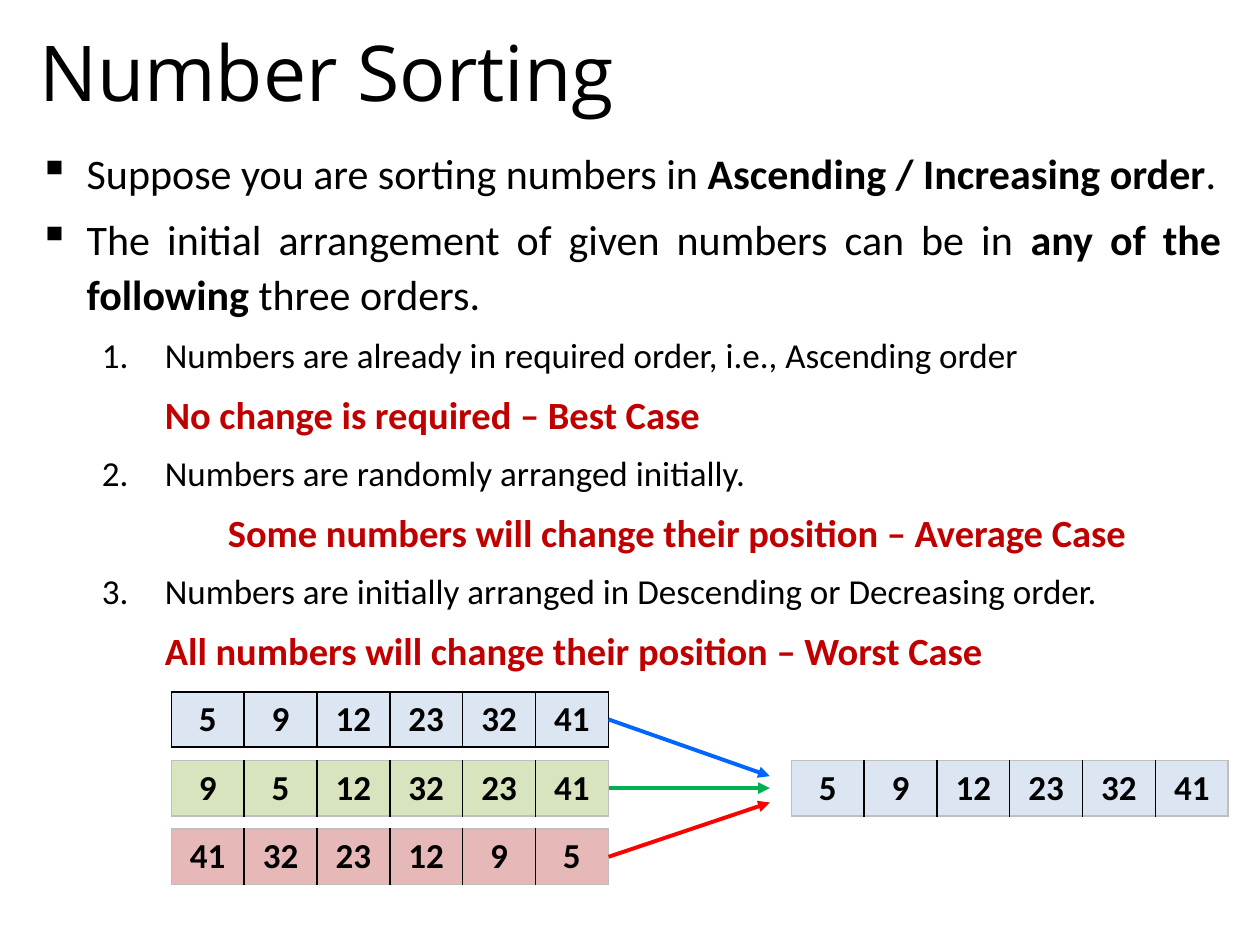
from lxml import etree
from pptx import Presentation, util as u
from pptx.dml.color import RGBColor
from pptx.enum import shapes, text
from pptx.oxml.ns import qn

COLORS = {"ink": "000000", "accent": "C00000", "edge": "BFBFBF",
          "sorted": "DCE6F2", "random": "D7E4BD", "reverse": "E6B9B8",
          "best": "0066FF", "average": "00B050", "worst": "FF0000"}


def rgb(name):
    return RGBColor.from_string(COLORS[name])


def add_xml(parent, tag, **attrs):
    return etree.SubElement(parent, qn(tag), {k: str(v) for k, v in attrs.items()})


def apply(target, values):
    for name, value in values.items():
        setattr(target, name, value)


class SlideBuilder:
    """Places elements on a grid of 100 columns by 75 rows."""
    COLUMNS, ROWS = 100, 75
    HEADING, BODY = "Open Sans", "Calibri"

    def __init__(self, prs):
        self.col = prs.slide_width / self.COLUMNS
        self.row = prs.slide_height / self.ROWS
        self.s = prs.slides.add_slide(prs.slide_layouts[5])

    def box(self, x, y, w, h):
        return (round(x * self.col), round(y * self.row),
                round(w * self.col), round(h * self.row))

    def run(self, p, words, size, color="ink", bold=False, font=BODY):
        r = p.add_run()
        r.text = words
        apply(r.font, {"size": u.Pt(size), "bold": bold, "name": font})
        r.font.color.rgb = rgb(color)

    def title(self, words, *area):
        sp = self.s.shapes.title
        apply(sp, dict(zip(("left", "top", "width", "height"), self.box(*area))))
        tf = sp.text_frame
        apply(tf, {"vertical_anchor": text.MSO_ANCHOR.MIDDLE, "word_wrap": True,
                   "auto_size": text.MSO_AUTO_SIZE.NONE})
        p = tf.paragraphs[0]
        p.alignment = text.PP_ALIGN.LEFT
        self.run(p, words, 44, font=self.HEADING)

    def outline(self, items, *area):
        tf = self.s.shapes.add_textbox(*self.box(*area)).text_frame
        tf.word_wrap = True
        for i, (kind, margin, hanging, runs) in enumerate(items):
            p = tf.paragraphs[0] if i == 0 else tf.add_paragraph()
            pPr = p._p.get_or_add_pPr()
            pPr.set("marL", str(u.Inches(margin)))
            pPr.set("indent", str(-u.Inches(hanging)))
            if kind == "bullet":
                add_xml(pPr, "a:buChar", char="▪")
            elif kind:
                add_xml(pPr, "a:buAutoNum", type="arabicPeriod", startAt=kind)
            else:
                add_xml(pPr, "a:buNone")
            apply(p, {"alignment": text.PP_ALIGN.JUSTIFY, "line_spacing": 1.1,
                      "space_before": u.Pt(0), "space_after": u.Pt(6)})
            for r in runs:
                self.run(p, *r)

    def number_row(self, values, fill, edge, *area):
        frame = self.s.shapes.add_table(1, len(values), *self.box(*area))
        table = frame.table
        apply(table, {"first_row": False, "horz_banding": False})
        last = len(values) - 1
        for i, value in enumerate(values):
            cell = table.cell(0, i)
            cell.vertical_anchor = text.MSO_ANCHOR.MIDDLE
            p = cell.text_frame.paragraphs[0]
            p.alignment = text.PP_ALIGN.CENTER
            self.run(p, str(value), 20, bold=True)
            # Borders come before the fill in the cell properties
            tcPr = cell._tc.get_or_add_tcPr()
            sides = {"L": "ink" if i else edge, "R": "ink" if i < last else edge,
                     "T": edge, "B": edge}
            for side, color in sides.items():
                ln = add_xml(tcPr, f"a:ln{side}", w=u.Pt(1))
                add_xml(add_xml(ln, "a:solidFill"), "a:srgbClr", val=COLORS[color])
            cell.fill.solid()
            cell.fill.fore_color.rgb = rgb(fill)

    def arrow(self, start, end, color):
        line = self.s.shapes.add_connector(shapes.MSO_CONNECTOR.STRAIGHT,
                                           *self.box(*start, *end))
        line.line.width = u.Pt(2.25)
        line.line.color.rgb = rgb(color)
        add_xml(line.line._get_or_add_ln(), "a:tailEnd", type="triangle")
        add_xml(line._element.spPr, "a:effectLst")


def main():
    prs = Presentation()
    prs.slide_width, prs.slide_height = u.Inches(10), u.Inches(7.5)
    page = SlideBuilder(prs)
    page.title("Number Sorting", 2.1, 1.2, 95.8, 8.8)

    # Explanation: marker, margin, hanging indent, runs
    def verdict(words, margin=1):
        return None, margin, 0, [(words, 22, "accent", True)]

    def case(number, words):
        return number, 1, 0.5, [(words, 20)]

    page.outline([
        ("bullet", 0.38, 0.38, [
            ("Suppose you are sorting numbers in ", 24),
            ("Ascending / Increasing order", 24, "ink", True), (".", 24)]),
        ("bullet", 0.38, 0.38, [
            ("The initial arrangement of given numbers can be in ", 24),
            ("any of the following ", 24, "ink", True), ("three orders.", 24)]),
        case(1, "Numbers are already in required order, i.e., Ascending order"),
        verdict("No change is required – Best Case"),
        case(2, "Numbers are randomly arranged initially."),
        verdict("Some numbers will change their position – Average Case", 1.5),
        case(3, "Numbers are initially arranged in Descending or Decreasing order."),
        verdict("All numbers will change their position – Worst Case"),
    ], 2.1, 10.8, 95.8, 58.3)

    # Initial arrangements, each with an arrow to the sorted result
    left, top, width, height, step = 13.6, 54.9, 34.7, 4.4, 5.45
    ascending = [5, 9, 12, 23, 32, 41]
    arrangements = [
        (ascending, "sorted", "ink", "best", 61.6),
        ([9, 5, 12, 32, 23, 41], "random", "edge", "average", 62.55),
        (ascending[::-1], "reverse", "edge", "worst", 63.7),
    ]
    for i, (values, fill, edge, color, target) in enumerate(arrangements):
        y = top + i * step
        page.number_row(values, fill, edge, left, y, width, height)
        page.arrow((left + width, y + height / 2), (61.1, target), color)

    # Sorted result
    page.number_row(ascending, "sorted", "edge", 62.8, top + step, width, height)
    prs.save("out.pptx")


if __name__ == "__main__":
    main()
